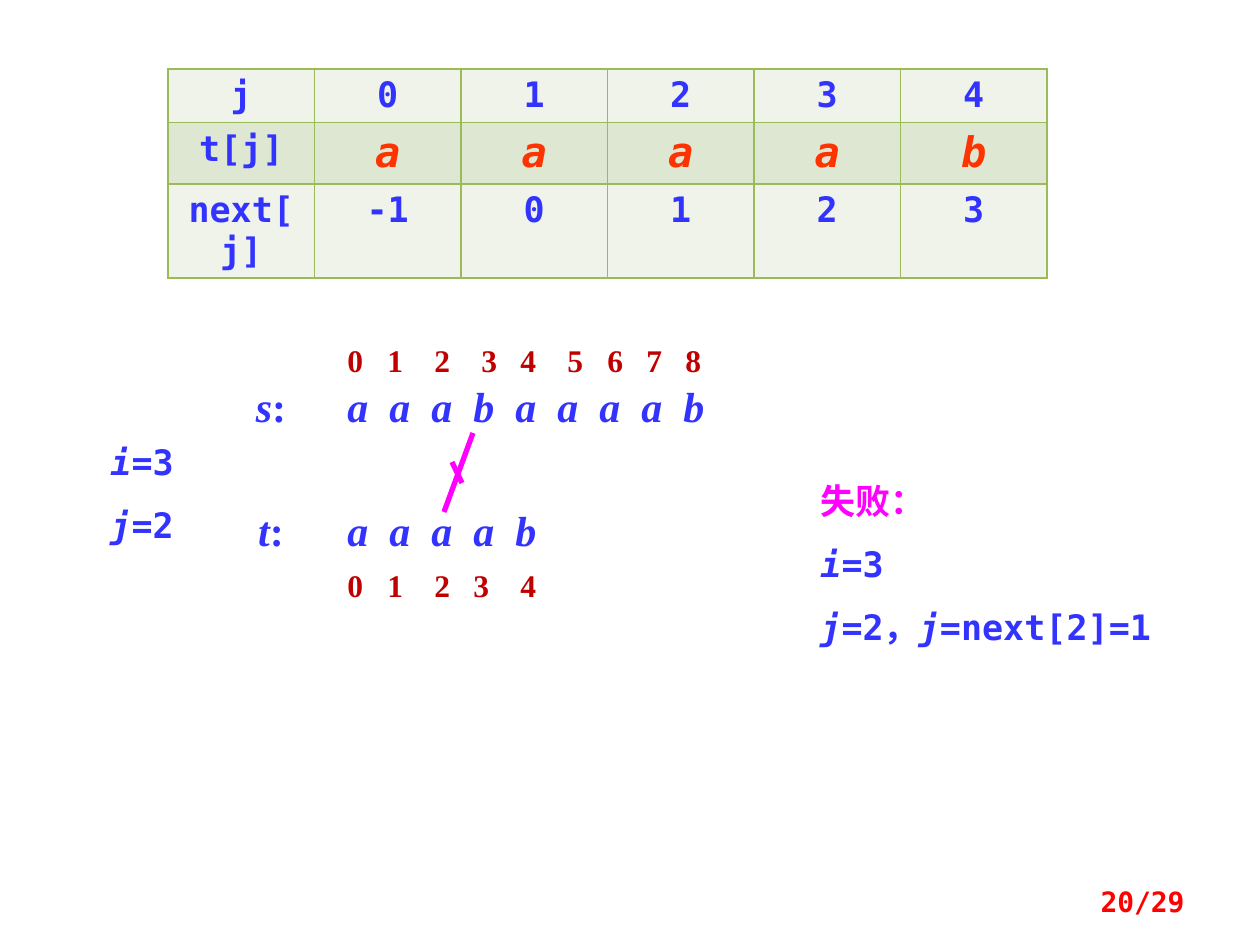
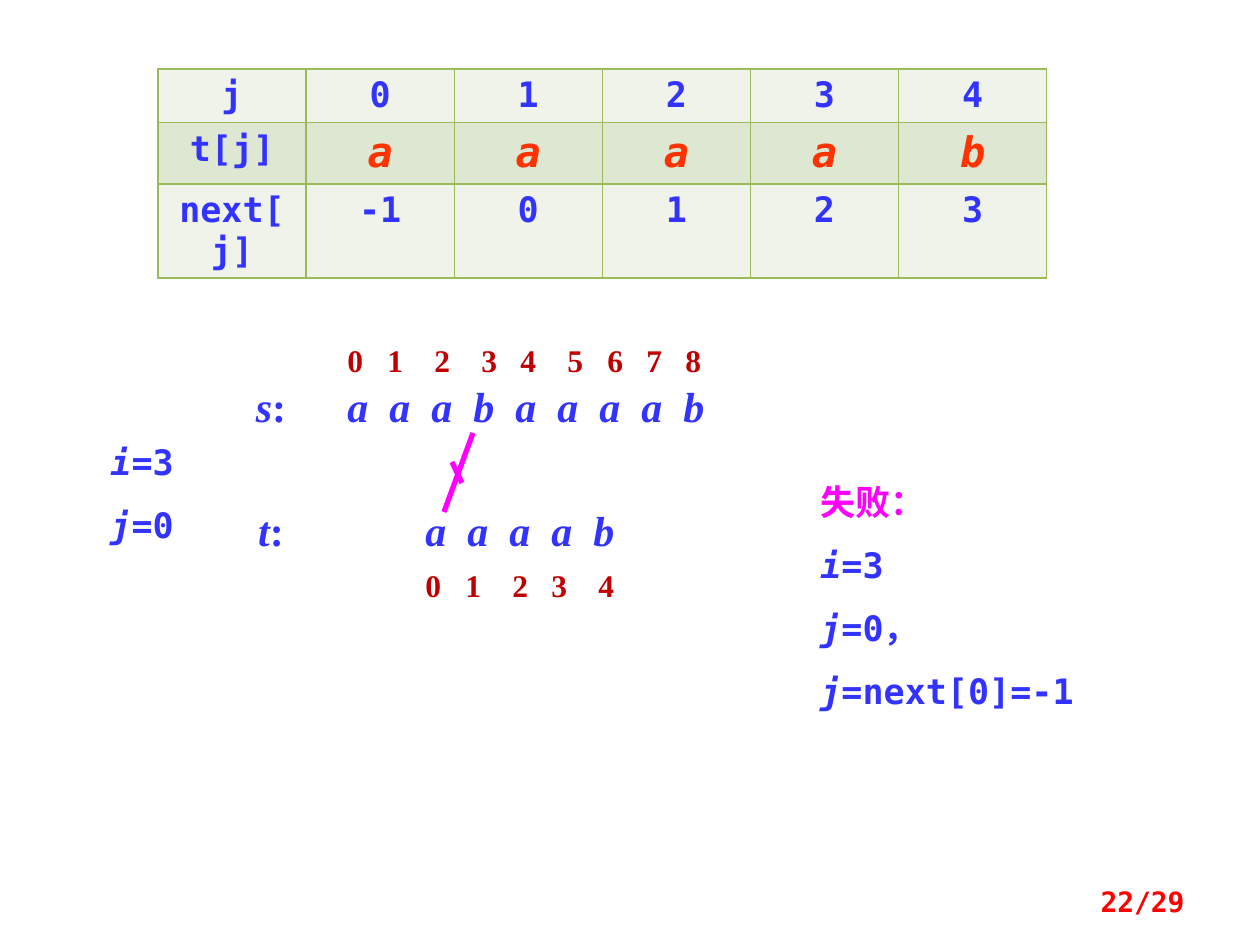
"""Build two slides that trace failed comparisons in KMP string matching."""
from dataclasses import dataclass

from lxml import etree
from pptx import Presentation
from pptx.dml.color import RGBColor
from pptx.enum.shapes import MSO_CONNECTOR
from pptx.enum.text import MSO_ANCHOR, MSO_AUTO_SIZE, PP_ALIGN
from pptx.oxml.ns import qn
from pptx.util import Emu, Pt

LEFT, CENTER, RIGHT = PP_ALIGN.LEFT, PP_ALIGN.CENTER, PP_ALIGN.RIGHT
MIDDLE = MSO_ANCHOR.MIDDLE
GROW = MSO_AUTO_SIZE.SHAPE_TO_FIT_TEXT
STRAIGHT = MSO_CONNECTOR.STRAIGHT

EMU_PER_PX = 914400 / 126
MONO, SERIF = "DejaVu Sans Mono", "Times New Roman"
BLUE, ORANGE, DARK_RED = "3333FF", "FF3300", "C00000"
RED, MAGENTA, GREEN = "FF0000", "FF00FF", "9BBB59"
ROW_FILLS = ("EFF3EA", "DEE7D1", "EFF3EA")

TABLE_RIGHT, TABLE_TOP, ROW_HEIGHT = 1047, 69, 52
NEXT_TABLE = (
    ("j", "0", "1", "2", "3", "4"),
    ("t[j]", "a", "a", "a", "a", "b"),
    ("next[j]", "-1", "0", "1", "2", "3"),
)
SOURCE, PATTERN = "aaabaaaab", "aaaab"
LETTER_PITCH = 42
SOURCE_LEFT = 335
SOURCE_INDEX_TABS = (40, 87, 134, 173, 220, 260, 299, 338)
PATTERN_INDEX_TABS = (40, 87, 126, 173)


@dataclass(frozen=True)
class TextStyle:
    """Font, size and colour of bold text."""

    font: str
    size: int
    color: str


VALUE = TextStyle(MONO, 20, BLUE)
PATTERN_CELL = TextStyle(MONO, 24, ORANGE)
FAILURE = TextStyle(MONO, 20, MAGENTA)
LETTER = TextStyle(SERIF, 24, BLUE)
INDEX = TextStyle(SERIF, 18, DARK_RED)
PAGE = TextStyle(MONO, 16, RED)


def px(length):
    """Turn pixels into EMU."""
    return Emu(round(length * EMU_PER_PX))


def rgb(color):
    """Turn a hex string into a colour."""
    return RGBColor.from_string(color)


def write_parts(paragraph, parts, style):
    """Write parts that alternate between italic and upright."""
    for number, part in enumerate(parts):
        if not part:
            continue
        run = paragraph.add_run()
        run.text = part
        run.font.name = style.font
        run.font.size = Pt(style.size)
        run.font.color.rgb = rgb(style.color)
        run.font.bold = True
        run.font.italic = number % 2 == 0


def set_tabs(paragraph, positions):
    """Give a paragraph left tab stops."""
    properties = paragraph._p.get_or_add_pPr()
    tabs = etree.SubElement(properties, qn("a:tabLst"))
    for position in positions:
        etree.SubElement(tabs, qn("a:tab"), pos=str(px(position)), algn="l")


def add_text(slide, box, lines, align=LEFT, spacing=None, tabs=()):
    """Add a text box of (parts, style) lines and return its frame."""
    frame = slide.shapes.add_textbox(*map(px, box)).text_frame
    frame.word_wrap = True
    frame.auto_size = GROW
    for number, (parts, style) in enumerate(lines):
        paragraph = frame.add_paragraph() if number else frame.paragraphs[0]
        paragraph.alignment = align
        if spacing:
            paragraph.line_spacing = spacing
        if tabs:
            set_tabs(paragraph, tabs)
        write_parts(paragraph, parts, style)
    return frame


def add_letters(slide, left, top, width, name, letters):
    """Add a string's label and its evenly spaced letters."""
    add_text(slide, (227, top, 88, 63), [((name, ":"), LETTER)], CENTER)
    tabs = [LETTER_PITCH * number for number in range(1, len(letters))]
    add_text(slide, (left, top, width, 63), [(("\t".join(letters),), LETTER)], tabs=tabs)


def add_indices(slide, left, top, width, tabs):
    """Add the positions counted from zero beside a string."""
    numbers = "\t".join(str(number) for number in range(len(tabs) + 1))
    add_text(slide, (left, top, width, 50), [(("", numbers), INDEX)], tabs=tabs)


def set_borders(cell):
    """Draw a thin green line on each side of a cell."""
    properties = cell._tc.get_or_add_tcPr()
    for position, side in enumerate(("a:lnL", "a:lnR", "a:lnT", "a:lnB")):
        line = etree.Element(qn(side), w=str(Pt(1)))
        fill = etree.SubElement(line, qn("a:solidFill"))
        etree.SubElement(fill, qn("a:srgbClr"), val=GREEN)
        properties.insert(position, line)


def add_next_table(slide, left):
    """Add the table of next[j] values."""
    width = TABLE_RIGHT - left
    rows, columns = len(NEXT_TABLE), len(NEXT_TABLE[0])
    box = map(px, (left, TABLE_TOP, width, ROW_HEIGHT * rows))
    table = slide.shapes.add_table(rows, columns, *box).table
    table.first_row = table.horz_banding = False
    for row, (texts, fill) in enumerate(zip(NEXT_TABLE, ROW_FILLS)):
        for column, text in enumerate(texts):
            cell = table.cell(row, column)
            cell.fill.solid()
            cell.fill.fore_color.rgb = rgb(fill)
            set_borders(cell)
            paragraph = cell.text_frame.paragraphs[0]
            paragraph.alignment = CENTER
            if row == 1 and column:
                write_parts(paragraph, (text,), PATTERN_CELL)
            else:
                write_parts(paragraph, ("", text), VALUE)


def add_mismatch(slide):
    """Add the crossed line between two letters that differ."""
    group = slide.shapes.add_group_shape()
    for ends in ((473, 433, 444, 512), (452, 462, 462, 483)):
        line = group.shapes.add_connector(STRAIGHT, *map(px, ends))
        line.line.color.rgb = rgb(MAGENTA)
        line.line.width = Pt(3)
        etree.SubElement(line._element.spPr, qn("a:effectLst"))


def add_step(presentation, page, table_left, pattern_left, pattern_width, j, next_j, result_box):
    """Add a slide for one failed comparison at i=3."""
    slide = presentation.slides.add_slide(presentation.slide_layouts[6])
    add_next_table(slide, table_left)
    add_letters(slide, SOURCE_LEFT, 374, 423, "s", SOURCE)
    add_indices(slide, SOURCE_LEFT, 335, 413, SOURCE_INDEX_TABS)
    add_letters(slide, pattern_left, 498, pattern_width, "t", PATTERN)
    add_indices(slide, pattern_left, 560, 246, PATTERN_INDEX_TABS)
    result = [
        (("", "失败："), FAILURE),
        (("i", "=3"), VALUE),
        (("j", f"={j}，", "j", f"=next[{j}]={next_j}"), VALUE),
    ]
    add_text(slide, result_box, result, spacing=1.5)
    add_mismatch(slide)
    state = [(("i", "=3"), VALUE), (("j", f"={j}"), VALUE)]
    add_text(slide, (98, 413, 98, 134), state, spacing=1.5)
    footer = add_text(slide, (903, 876, 294, 50), [(("", f"{page}/29"), PAGE)], RIGHT)
    footer.auto_size = MSO_AUTO_SIZE.NONE
    footer.vertical_anchor = MIDDLE


def main():
    """Build and save the presentation."""
    presentation = Presentation()
    presentation.slide_width, presentation.slide_height = px(1260), px(945)
    add_step(presentation, 20, 168, SOURCE_LEFT, 423, 2, 1, (808, 452, 374, 204))
    add_step(presentation, 22, 158, 413, 286, 0, -1, (808, 453, 315, 261))
    presentation.save("out.pptx")


if __name__ == "__main__":
    main()
